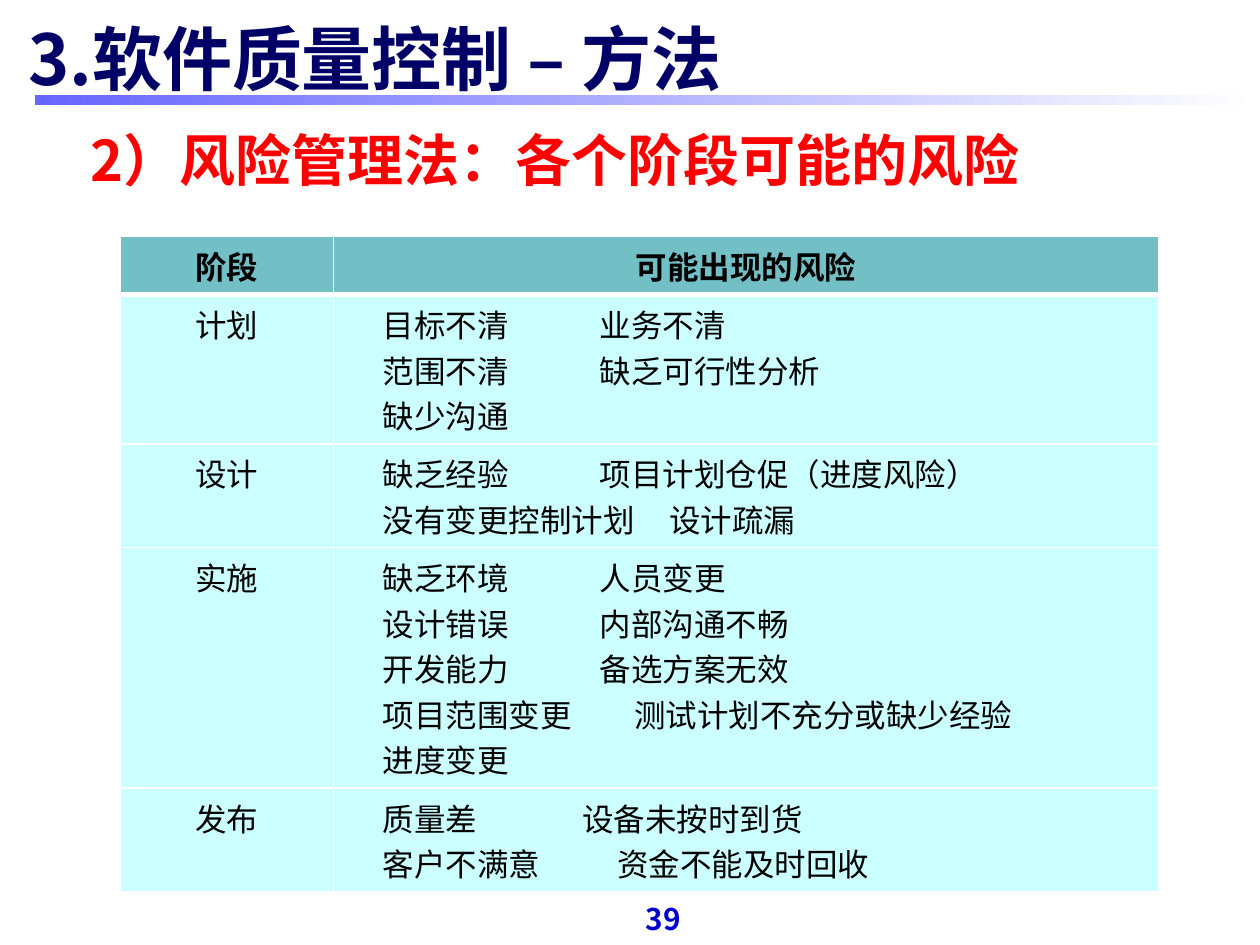
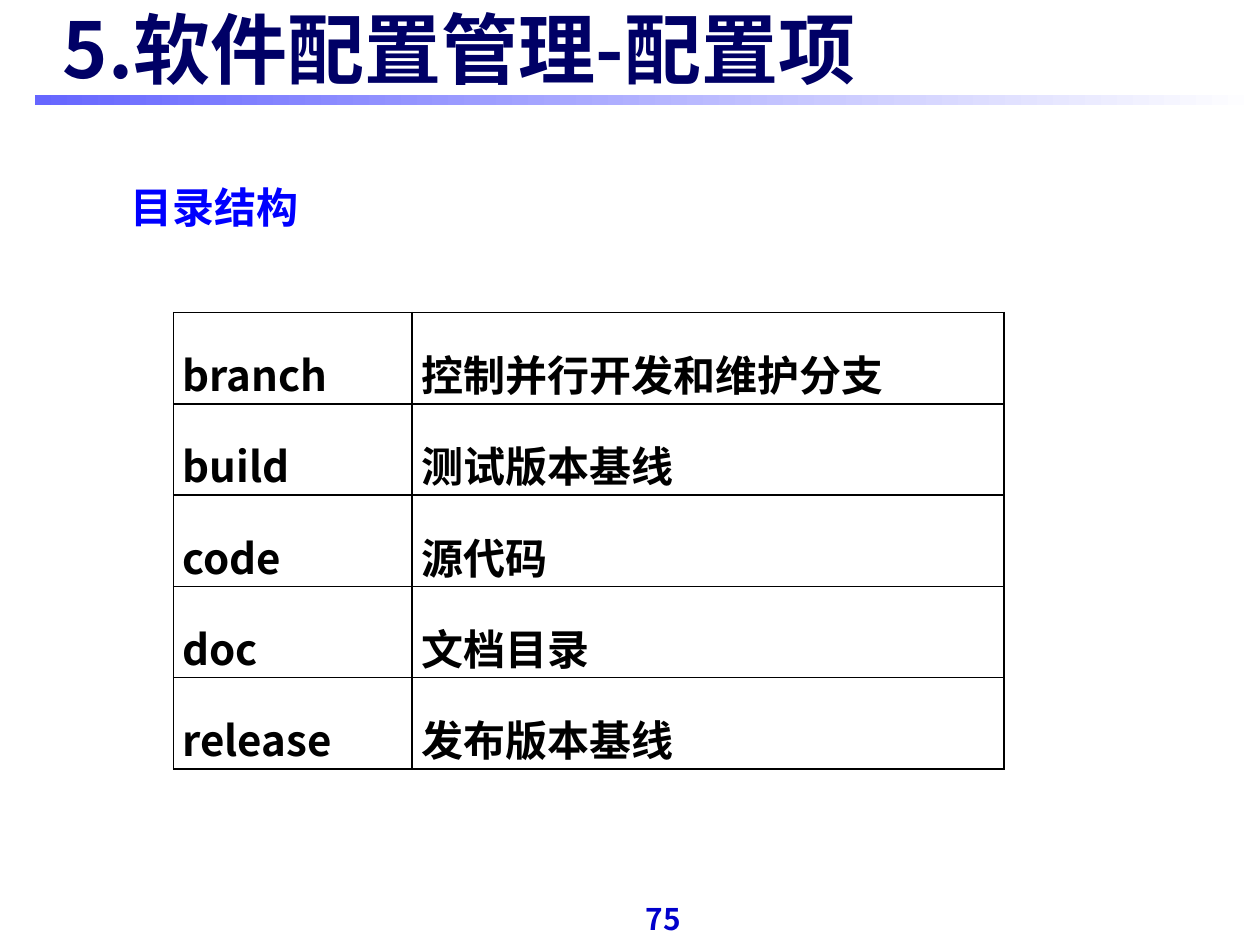
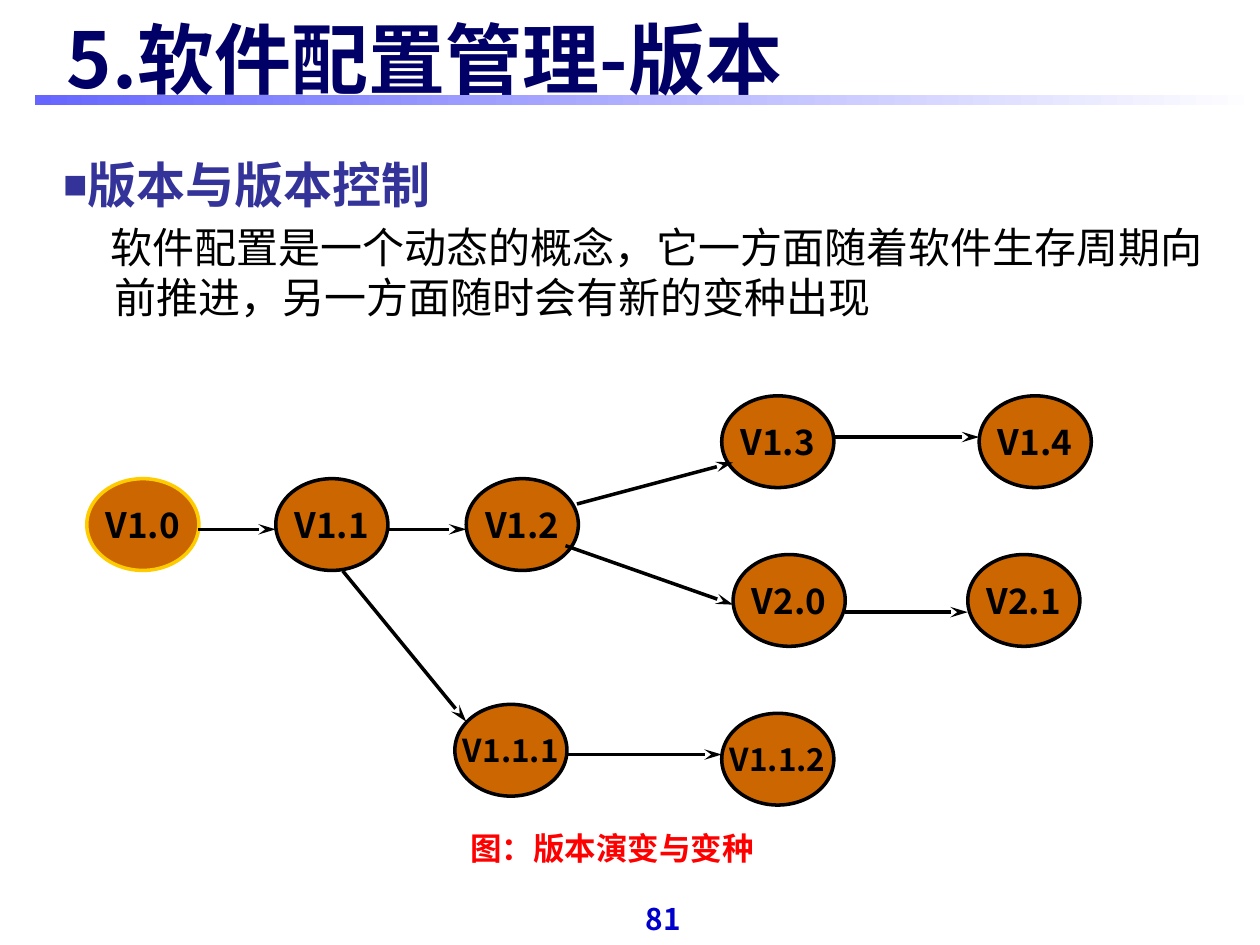
from lxml.etree import SubElement
from pptx import Presentation
from pptx.dml.color import RGBColor
from pptx.enum.shapes import MSO_CONNECTOR, MSO_SHAPE
from pptx.enum.text import MSO_ANCHOR as Anchor, PP_ALIGN as Align
from pptx.oxml.ns import qn
from pptx.util import Cm, Pt

rgb = RGBColor.from_string
SANS, LABEL_FONT = "Noto Sans CJK SC", "Noto Sans CJK JP"
BLACK, WHITE, RED = "000000", "FFFFFF", "FF0000"
NAVY, PAGE_BLUE, BLUE, INDIGO = "000066", "0000CC", "0000FF", "333399"
BAND_BLUE, HEADER_TEAL, ROW_CYAN = "6666FF", "72BFC5", "CCFFFF"
NODE_ORANGE, START_GOLD = "CC6600", "FFCC00"


def add_run(paragraph, text, size, color=BLACK, bold=True, face=SANS):
    run = paragraph.add_run()
    run.text = text
    run.font.size = Pt(size)
    run.font.bold = bold
    run.font.color.rgb = rgb(color)
    run.font.name = face
    SubElement(run.font._element, qn("a:ea"), typeface=face)


def set_borders(cell, color, **widths):
    """Draw the four cell borders; widths (L, R, T, B) default to 1 pt."""
    properties = cell._tc.get_or_add_tcPr()
    for side in "LRTB":
        border = SubElement(properties, qn(f"a:ln{side}"), w=str(Pt(widths.get(side, 1))))
        fill = SubElement(border, qn("a:solidFill"))
        SubElement(fill, qn("a:srgbClr"), val=color)


deck = Presentation()
deck.slide_width, deck.slide_height = Cm(25.4), Cm(19.05)

# Title, gradient band and page number on every slide
headings = [
    ("3.软件质量控制 – 方法", 40, 0.32, 0.2, "39"),
    ("5.软件配置管理-配置项", 44, 1.02, 0, "75"),
    ("5.软件配置管理-版本", 44, 1.1, 0.2, "81"),
]
for heading, size, left, top, number in headings:
    slide = deck.slides.add_slide(deck.slide_layouts[6])
    band = slide.shapes.add_shape(MSO_SHAPE.RECTANGLE, Cm(0.7), Cm(1.92), Cm(24.7), Cm(0.2))
    band.shadow.inherit = False
    band.line.fill.background()
    band.fill.gradient()
    band.fill.gradient_angle = 0
    for stop, color in zip(band.fill.gradient_stops, (BAND_BLUE, WHITE)):
        stop.color.rgb = rgb(color)

    title = slide.shapes.add_textbox(Cm(left), Cm(top), Cm(23.2), Cm(1.93)).text_frame
    title.word_wrap = True
    title.vertical_anchor = Anchor.MIDDLE
    add_run(title.paragraphs[0], heading, size, NAVY)

    page = slide.shapes.add_textbox(Cm(12.67), Cm(17.98), Cm(1.4), Cm(1.07)).text_frame
    page.word_wrap = True
    page.margin_left = page.margin_right = page.margin_top = page.margin_bottom = 0
    page.vertical_anchor = Anchor.MIDDLE
    page.paragraphs[0].alignment = Align.CENTER
    add_run(page.paragraphs[0], number, 17, PAGE_BLUE)

risk_slide, directory_slide, version_slide = deck.slides

# Risks by phase
subtitle = risk_slide.shapes.add_textbox(Cm(1.57), Cm(2.41), Cm(22.7), Cm(1.8)).text_frame
subtitle.word_wrap = True
add_run(subtitle.paragraphs[0], "2）风险管理法：各个阶段可能的风险", 32, RED)

# Each line: first risk, second risk, tab position in cm
phases = [
    ("计划", [("目标不清", "业务不清", 4.37), ("范围不清", "缺乏可行性分析", 4.37),
            ("缺少沟通", "", 0)]),
    ("设计", [("缺乏经验", "项目计划仓促（进度风险）", 4.37),
            ("没有变更控制计划", "设计疏漏", 5.77)]),
    ("实施", [("缺乏环境", "人员变更", 4.37), ("设计错误", "内部沟通不畅", 4.37),
            ("开发能力", "备选方案无效", 4.37),
            ("项目范围变更", "测试计划不充分或缺少经验", 5.07), ("进度变更", "", 0)]),
    ("发布", [("质量差", "设备未按时到货", 4.02), ("客户不满意", "资金不能及时回收", 4.72)]),
]
risks = risk_slide.shapes.add_table(5, 2, Cm(2.43), Cm(4.77), Cm(20.93), Cm(13.2)).table
risks.columns[0].width, risks.columns[1].width = Cm(4.29), Cm(16.64)
risks.rows[0].height = Cm(1.17)
for cell, label in zip(risks.rows[0].cells, ("阶段", "可能出现的风险")):
    set_borders(cell, WHITE, B=3)
    cell.fill.solid()
    cell.fill.fore_color.rgb = rgb(HEADER_TEAL)
    cell.text_frame.paragraphs[0].alignment = Align.CENTER
    add_run(cell.text_frame.paragraphs[0], label, 18)

for row_index, (phase, lines) in enumerate(phases, start=1):
    risks.rows[row_index].height = Cm(0.25 + 0.92 * len(lines))
    phase_cell, risk_cell = risks.rows[row_index].cells
    for cell in (phase_cell, risk_cell):
        set_borders(cell, WHITE, T=3 if row_index == 1 else 1)
        cell.fill.solid()
        cell.fill.fore_color.rgb = rgb(ROW_CYAN)
    phase_cell.text_frame.paragraphs[0].alignment = Align.CENTER
    add_run(phase_cell.text_frame.paragraphs[0], phase, 18, bold=False)
    risk_cell.margin_left = Cm(1.0)
    for index, (first, second, tab) in enumerate(lines):
        frame = risk_cell.text_frame
        line = frame.add_paragraph() if index else frame.paragraphs[0]
        if second:
            tabs = SubElement(line._p.get_or_add_pPr(), qn("a:tabLst"))
            SubElement(tabs, qn("a:tab"), pos=str(Cm(tab)), algn="l")
        add_run(line, f"{first}\t{second}" if second else first, 18, bold=False)

# Directory structure
caption = directory_slide.shapes.add_textbox(Cm(2.39), Cm(3.53), Cm(4.19), Cm(1.3)).text_frame
caption.word_wrap = True
add_run(caption.paragraphs[0], "目录结构", 24, BLUE)

folders = [
    ("branch", "控制并行开发和维护分支"),
    ("build", "测试版本基线"),
    ("code", "源代码"),
    ("doc", "文档目录"),
    ("release", "发布版本基线"),
]
directory = directory_slide.shapes.add_table(
    len(folders), 2, Cm(3.5), Cm(6.3), Cm(16.74), Cm(9.2)).table
directory.columns[0].width, directory.columns[1].width = Cm(4.81), Cm(11.93)
for row, folder in zip(directory.rows, folders):
    row.height = Cm(1.84)
    for cell, text in zip(row.cells, folder):
        set_borders(cell, BLACK)
        cell.fill.background()
        cell.margin_left = cell.margin_right = Cm(0.18)
        cell.margin_top = cell.margin_bottom = 0
        entry = cell.text_frame.paragraphs[0]
        entry.alignment = Align.JUSTIFY
        entry.line_spacing = 1.5
        add_run(entry, text, 24)

# Version evolution
intro = version_slide.shapes.add_textbox(Cm(1.03), Cm(3.0), Cm(23.5), Cm(5.77)).text_frame
intro.word_wrap = True
topic = intro.paragraphs[0]
topic_format = topic._p.get_or_add_pPr()
topic_format.set("marL", str(Cm(0.23)))
topic_format.set("indent", str(Cm(-0.23)))
SubElement(SubElement(topic_format, qn("a:buClr")), qn("a:srgbClr"), val=INDIGO)
SubElement(topic_format, qn("a:buSzPct"), val="50000")
SubElement(topic_format, qn("a:buFont"), typeface=SANS)
SubElement(topic_format, qn("a:buChar"), char="■")
add_run(topic, "版本与版本控制", 28, INDIGO)

concept = intro.add_paragraph()
concept_format = concept._p.get_or_add_pPr()
concept_format.set("marL", str(Cm(1.02)))
concept_format.set("indent", str(Cm(-0.08)))
concept.line_spacing = Pt(29)
concept.space_before = Pt(4)
add_run(concept, "软件配置是一个动态的概念，它一方面随着软件生存周期向前推进，"
        "另一方面随时会有新的变种出现", 24, bold=False)

versions = [
    ("V1.0", 1.75, 9.65), ("V1.1", 5.56, 9.65), ("V1.2", 9.4, 9.65),
    ("V1.3", 14.55, 7.98), ("V1.4", 19.74, 7.98),
    ("V2.0", 14.78, 11.18), ("V2.1", 19.51, 11.18),
    ("V1.1.1", 9.17, 14.2), ("V1.1.2", 14.55, 14.38),
]
for version, left, top in versions:
    node = version_slide.shapes.add_shape(
        MSO_SHAPE.OVAL, Cm(left), Cm(top), Cm(2.26), Cm(1.85))
    node.shadow.inherit = False
    node.fill.solid()
    node.fill.fore_color.rgb = rgb(NODE_ORANGE)
    node.line.color.rgb = rgb(START_GOLD if version == "V1.0" else BLACK)
    node.line.width = Pt(2)
    node.text_frame.word_wrap = False
    node.text_frame.vertical_anchor = Anchor.MIDDLE
    node.text_frame.paragraphs[0].alignment = Align.CENTER
    add_run(node.text_frame.paragraphs[0], version, 20 if len(version) == 4 else 18,
            face=LABEL_FONT)

# Start and end points of the steps between versions
steps = [
    (3.99, 10.67, 5.56, 10.67), (7.82, 10.67, 9.4, 10.67),
    (11.63, 10.16, 14.78, 9.32), (11.4, 11.0, 14.78, 12.19),
    (16.81, 8.81, 19.74, 8.81), (17.04, 12.34, 19.51, 12.34),
    (6.91, 11.51, 9.4, 14.55), (11.4, 15.21, 14.55, 15.21),
]
for step in steps:
    arrow = version_slide.shapes.add_connector(MSO_CONNECTOR.STRAIGHT, *map(Cm, step))
    arrow.line.color.rgb = rgb(BLACK)
    arrow.line.width = Pt(2)
    SubElement(arrow.line._get_or_add_ln(), qn("a:tailEnd"), type="stealth", w="med", len="lg")
    SubElement(arrow._element.spPr, qn("a:effectLst"))

figure = version_slide.shapes.add_textbox(Cm(9.18), Cm(16.59), Cm(6.32), Cm(1.02)).text_frame
figure.word_wrap = False
figure.paragraphs[0].alignment = Align.CENTER
add_run(figure.paragraphs[0], "图：版本演变与变种", 18, RED)

deck.save("out.pptx")
